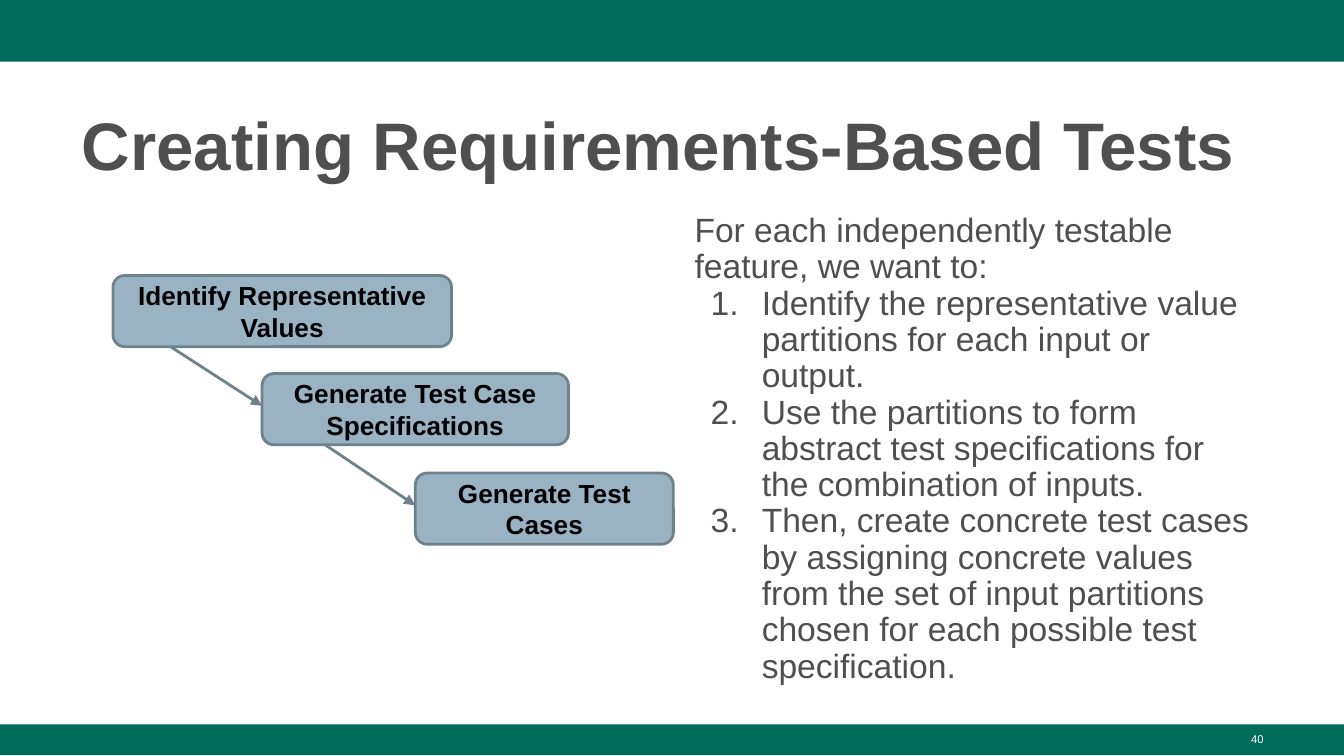
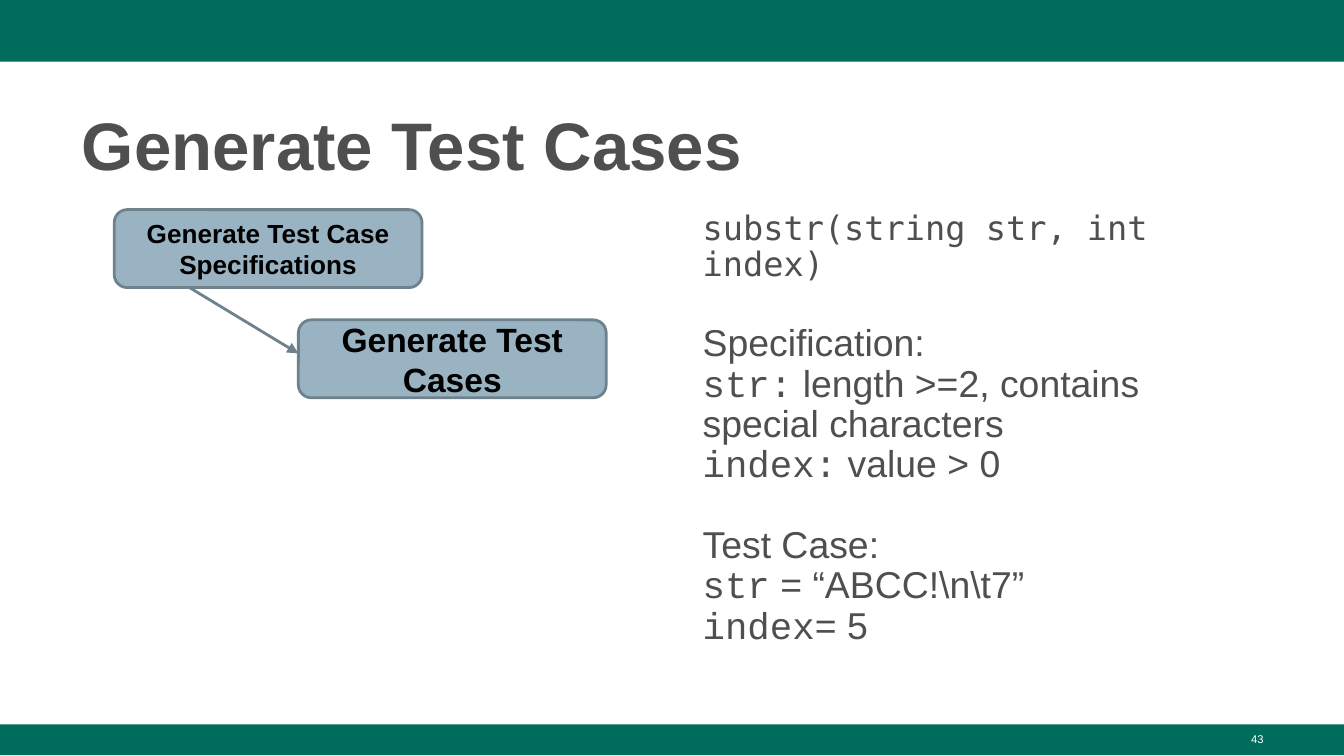
import lxml.etree
import pptx
import pptx.dml.color
import pptx.enum.shapes
import pptx.enum.text
import pptx.oxml.ns
import pptx.util
from pptx.util import Inches

GREEN, GREY, WHITE, BLACK = "006C5C", "4F4F4F", "FFFFFF", "000000"
STEP_FILL, STEP_LINE = "99B3C2", "6F828C"
SANS, MONO, CODE = "Arial", "Courier New", "DejaVu Sans Mono"
SHAPE = pptx.enum.shapes.MSO_SHAPE
ALIGN = pptx.enum.text.PP_ALIGN
ANCHOR = pptx.enum.text.MSO_ANCHOR
BLANK_LINE = 21.6


def rgb(value):
    return pptx.dml.color.RGBColor.from_string(value)


def add_xml(parent, tag, **attributes):
    return lxml.etree.SubElement(parent, pptx.oxml.ns.qn(tag), **attributes)


class Deck:
    def __init__(self):
        self.prs = pptx.Presentation()
        self.prs.slide_width = Inches(10)
        self.prs.slide_height = Inches(10 * 9 / 16)
        self.slide = None

    def new_slide(self, title, number):
        self.slide = self.prs.slides.add_slide(self.prs.slide_layouts[5])
        # Bands
        for top, height in ((0, 0.46), (5.39, 0.23)):
            band = self.shape(SHAPE.RECTANGLE, 0, top, 10, height, GREEN)
            band.line.fill.background()
        # Title
        heading = self.slide.shapes.title
        heading.left, heading.top = Inches(0.51), Inches(0.67)
        heading.width, heading.height = Inches(8.99), Inches(0.73)
        frame = self.frame(heading, ANCHOR.TOP, 0.05)
        frame.text = title
        self.style(frame.paragraphs[0], 36, GREY, bold=True, spacing=1.08)
        # Slide number
        page = self.slide.shapes.add_textbox(
            Inches(7.17), Inches(5.4), Inches(2.33), Inches(0.23))
        frame = self.frame(page, ANCHOR.TOP, 0.05)
        frame.text = str(number)
        self.style(frame.paragraphs[0], 6, WHITE, align=ALIGN.RIGHT)

    def frame(self, shape, anchor, inset):
        frame = shape.text_frame
        frame.word_wrap = True
        frame.auto_size = pptx.enum.text.MSO_AUTO_SIZE.NONE
        frame.vertical_anchor = anchor
        frame.margin_left = frame.margin_right = Inches(0.1)
        frame.margin_top = frame.margin_bottom = Inches(inset)
        return frame

    def style(self, paragraph, size, color, font=SANS, bold=False,
              align=ALIGN.LEFT, spacing=1.0, before=0):
        paragraph.alignment = align
        paragraph.line_spacing = spacing
        paragraph.space_before = pptx.util.Pt(before)
        paragraph.font.size = pptx.util.Pt(size)
        paragraph.font.bold = bold
        paragraph.font.color.rgb = rgb(color)
        if font:
            paragraph.font.name = font

    def shape(self, kind, left, top, width, height, fill):
        shape = self.slide.shapes.add_shape(
            kind, Inches(left), Inches(top), Inches(width), Inches(height))
        shape.shadow.inherit = False
        shape.fill.solid()
        shape.fill.fore_color.rgb = rgb(fill)
        return shape

    def outline(self, line):
        line.color.rgb = rgb(STEP_LINE)
        line.width = pptx.util.Pt(1.5)

    def step(self, text, left, top, width, height, size=14):
        step = self.shape(SHAPE.ROUNDED_RECTANGLE, left, top, width, height, STEP_FILL)
        self.outline(step.line)
        frame = self.frame(step, ANCHOR.MIDDLE, 0.1)
        frame.text = text
        self.style(frame.paragraphs[0], size, BLACK, bold=True, align=ALIGN.CENTER)
        return step

    def arrow(self, source, start_x, target, end_y):
        """Lead from the lower edge of one step to the left side of the next."""
        arrow = self.slide.shapes.add_connector(
            pptx.enum.shapes.MSO_CONNECTOR.STRAIGHT,
            Inches(start_x), source.top + source.height,
            target.left, Inches(end_y))
        self.outline(arrow.line)
        properties = arrow.element.spPr
        add_xml(properties.find(pptx.oxml.ns.qn("a:ln")), "a:tailEnd", type="triangle")
        add_xml(properties, "a:effectLst")

    def body(self, left, paragraphs, bottom_inset=0.1):
        """Each paragraph is (runs, size, space before, numbered); a run is (text, font)."""
        box = self.slide.shapes.add_textbox(
            Inches(left), Inches(1.31), Inches(4.37), Inches(4.07))
        frame = self.frame(box, ANCHOR.MIDDLE, 0.1)
        frame.margin_bottom = Inches(bottom_inset)
        for index, (runs, size, before, numbered) in enumerate(paragraphs):
            paragraph = frame.add_paragraph() if index else frame.paragraphs[0]
            if numbered:
                self.number(paragraph)
            fonts = {font for _, font in runs}
            shared = fonts.pop() if len(fonts) == 1 else None
            for text, font in runs:
                run = paragraph.add_run()
                run.text = text
                if not shared:
                    run.font.name = font
            self.style(paragraph, size, GREY, font=shared, spacing=0.9, before=before)

    def number(self, paragraph):
        properties = paragraph._p.get_or_add_pPr()
        properties.set("marL", str(Inches(0.5)))
        properties.set("indent", str(Inches(-0.38)))
        add_xml(add_xml(properties, "a:buClr"), "a:srgbClr", val=GREY)
        add_xml(properties, "a:buFont", typeface=SANS)
        add_xml(properties, "a:buAutoNum", type="arabicPeriod")


def requirements_slide(deck):
    deck.new_slide("Creating Requirements-Based Tests", 40)

    # Process steps
    values = deck.step("Identify Representative Values", 0.84, 2.05, 2.52, 0.53)
    specifications = deck.step("Generate Test Case Specifications", 1.95, 2.78, 2.28, 0.53)
    cases = deck.step("Generate Test Cases", 3.09, 3.52, 1.92, 0.53)
    deck.arrow(values, 1.27, specifications, 3.02)
    deck.arrow(specifications, 2.42, cases, 3.76)

    # Explanation
    intro = "For each independently testable feature, we want to:"
    tasks = (
        "Identify the representative value partitions for each input or output.",
        "Use the partitions to form abstract test specifications for the "
        "combination of inputs.",
        "Then, create concrete test cases by assigning concrete values from the set "
        "of input partitions chosen for each possible test specification.",
    )
    deck.body(5.07, [([(intro, SANS)], 18, 0, False)]
              + [([(task, SANS)], 18, 0, True) for task in tasks])


def test_cases_slide(deck):
    deck.new_slide("Generate Test Cases", 43)

    # Process steps
    specifications = deck.step("Generate Test Case Specifications", 0.85, 1.56, 2.29, 0.58)
    cases = deck.step("Generate Test Cases", 2.22, 2.38, 2.29, 0.58, size=18)
    deck.arrow(specifications, 1.41, cases, 2.63)

    # Worked example
    deck.body(5.13, [
        ([("substr(string str, int index)", CODE)], 18, 0, False),
        ([("Specification:", SANS)], 20, BLANK_LINE, False),
        ([("str:", MONO), (" length >=2, contains special characters", SANS)], 20, 0, False),
        ([("index:", MONO), (" value > 0", SANS)], 20, 0, False),
        ([("Test Case:", SANS)], 20, BLANK_LINE, False),
        ([("str", MONO), (r" = “ABCC!\n\t7”", SANS)], 20, 0, False),
        ([("index", MONO), ("= 5", SANS)], 20, 0, False),
    ], bottom_inset=0.4)


def main():
    deck = Deck()
    requirements_slide(deck)
    test_cases_slide(deck)
    deck.prs.save("out.pptx")


if __name__ == "__main__":
    main()
